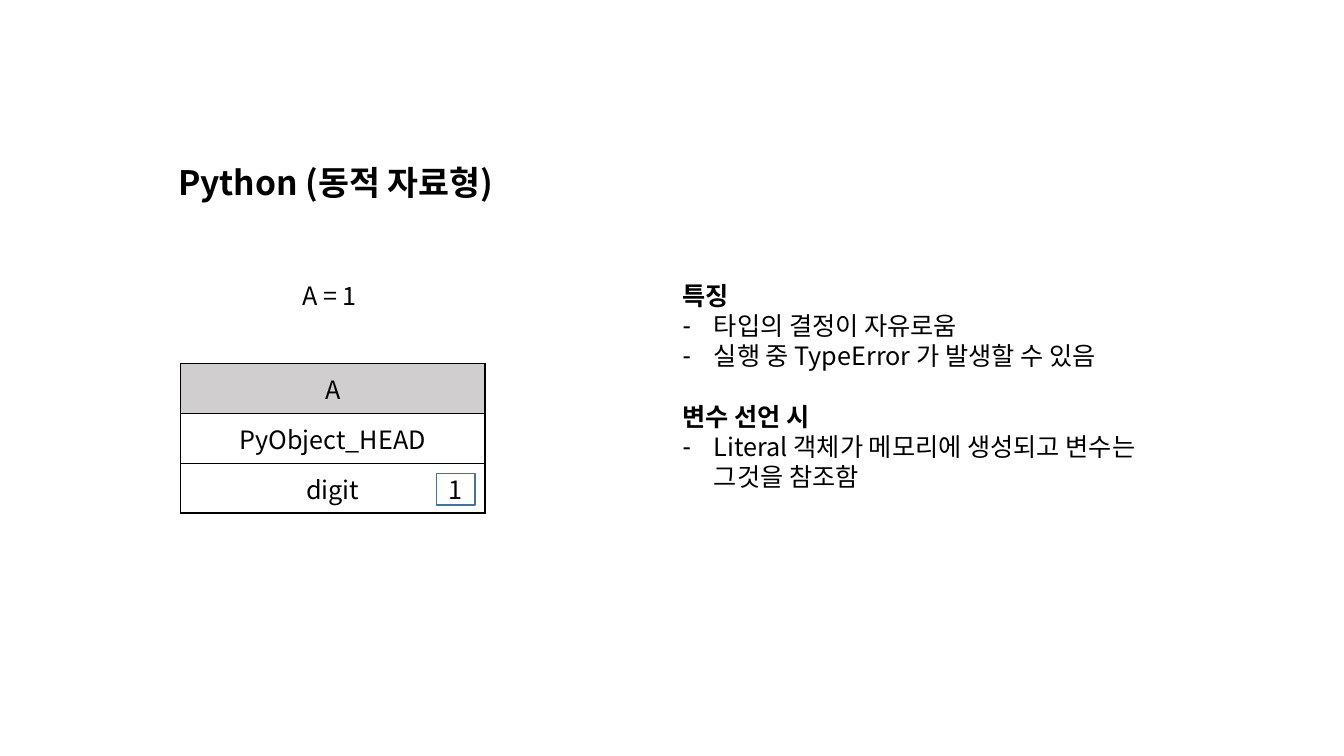
from dataclasses import dataclass

from lxml import etree
from pptx import Presentation
from pptx.dml.color import RGBColor
from pptx.enum.shapes import MSO_SHAPE
from pptx.enum.text import MSO_ANCHOR, MSO_AUTO_SIZE, PP_ALIGN
from pptx.oxml.ns import qn
from pptx.slide import Slide
from pptx.table import _Cell
from pptx.text.text import _Paragraph
from pptx.util import Inches, Pt

RECTANGLE = MSO_SHAPE.RECTANGLE
TOP, MIDDLE = MSO_ANCHOR.TOP, MSO_ANCHOR.MIDDLE
LEFT, CENTER = PP_ALIGN.LEFT, PP_ALIGN.CENTER
NO_FIT, GROW = MSO_AUTO_SIZE.NONE, MSO_AUTO_SIZE.SHAPE_TO_FIT_TEXT

FONT = "Noto Sans CJK KR"
COLORS = {"text": "000000", "border": "000000", "header": "D0CECE", "value": "43739E"}
BODY_SIZE = 18
LINE_HEIGHT = 21.6
BULLET_INDENT = Inches(0.31)


@dataclass
class Frame:
    left: float
    top: float
    width: float
    height: float

    def lengths(self) -> list[int]:
        return [Inches(n) for n in (self.left, self.top, self.width, self.height)]


@dataclass
class Section:
    heading: str
    points: list[str]


TITLE_FRAME = Frame(1.22, 1.6, 4.22, 0.9)
OBJECT_FRAME = Frame(1.79, 3.61, 3.02, 1.48)
ASSIGNMENT_FRAME = Frame(2.9, 2.73, 0.86, 0.4)
VALUE_FRAME = Frame(4.33, 4.7, 0.38, 0.31)
NOTES_FRAME = Frame(6.67, 2.73, 4.96, 2.22)

OBJECT_ROWS = ["A", "PyObject_HEAD", "digit"]
SECTIONS = [
    Section("특징", ["타입의 결정이 자유로움", "실행 중 TypeError 가 발생할 수 있음"]),
    Section("변수 선언 시", ["Literal 객체가 메모리에 생성되고 변수는 그것을 참조함"]),
]


def write(para: _Paragraph, text: str, size: float = BODY_SIZE,
          bold: bool = False, align: PP_ALIGN = CENTER) -> None:
    para.text = text
    para.alignment = align
    font = para.font
    font.name, font.size, font.bold = FONT, Pt(size), bold
    font.color.rgb = RGBColor.from_string(COLORS["text"])
    east_asian = etree.SubElement(para._p.pPr.find(qn("a:defRPr")), qn("a:ea"))
    east_asian.set("typeface", FONT)


def set_bullet(para: _Paragraph, char: str = "") -> None:
    """Give the paragraph a hanging bullet, or none when char is empty."""
    properties = para._p.get_or_add_pPr()
    indent = BULLET_INDENT if char else 0
    properties.set("marL", str(indent))
    properties.set("indent", str(-indent))
    bullet = etree.Element(qn("a:buChar" if char else "a:buNone"))
    if char:
        bullet.set("char", char)
    properties.find(qn("a:defRPr")).addprevious(bullet)


def set_borders(cell: _Cell) -> None:
    properties = cell._tc.get_or_add_tcPr()
    for index, side in enumerate(("lnL", "lnR", "lnT", "lnB")):
        line = etree.Element(qn(f"a:{side}"), w=str(Pt(1)))
        fill = etree.SubElement(line, qn("a:solidFill"))
        etree.SubElement(fill, qn("a:srgbClr"), val=COLORS["border"])
        properties.insert(index, line)


def place(shape, frame: Frame) -> None:
    shape.left, shape.top, shape.width, shape.height = frame.lengths()


def add_title(page: Slide) -> None:
    title = page.shapes.title
    place(title, TITLE_FRAME)
    title.text_frame.vertical_anchor = TOP
    title.text_frame.auto_size = NO_FIT
    para = title.text_frame.paragraphs[0]
    write(para, "Python (동적 자료형)", size=24, bold=True)
    para.line_spacing = 0.9
    para.space_before = Pt(10)


def add_object_table(page: Slide) -> None:
    table = page.shapes.add_table(len(OBJECT_ROWS), 1, *OBJECT_FRAME.lengths()).table
    table.first_row = table.horz_banding = False
    for index, text in enumerate(OBJECT_ROWS):
        cell = table.cell(index, 0)
        cell.vertical_anchor = MIDDLE
        if index == 0:
            cell.fill.solid()
            cell.fill.fore_color.rgb = RGBColor.from_string(COLORS["header"])
        else:
            cell.fill.background()
        set_borders(cell)
        write(cell.text_frame.paragraphs[0], text)


def add_assignment(page: Slide) -> None:
    box = page.shapes.add_textbox(*ASSIGNMENT_FRAME.lengths())
    box.text_frame.word_wrap = False
    box.text_frame.auto_size = GROW
    write(box.text_frame.paragraphs[0], "A = 1", align=LEFT)


def add_value(page: Slide) -> None:
    box = page.shapes.add_shape(RECTANGLE, *VALUE_FRAME.lengths())
    box.shadow.inherit = False
    box.fill.background()
    box.line.color.rgb = RGBColor.from_string(COLORS["value"])
    box.line.width = Pt(1)
    box.text_frame.vertical_anchor = MIDDLE
    write(box.text_frame.paragraphs[0], "1")


def add_notes(page: Slide) -> None:
    body = page.placeholders[1]
    place(body, NOTES_FRAME)
    frame = body.text_frame
    frame.auto_size = GROW
    frame.vertical_anchor = TOP
    for index, section in enumerate(SECTIONS):
        heading = frame.add_paragraph() if index else frame.paragraphs[0]
        write(heading, section.heading, bold=True, align=LEFT)
        heading.space_before = Pt(LINE_HEIGHT if index else 0)
        set_bullet(heading)
        for point in section.points:
            para = frame.add_paragraph()
            write(para, point, align=LEFT)
            para.space_before = Pt(0)
            set_bullet(para, "-")


def main() -> None:
    deck = Presentation()
    deck.slide_width, deck.slide_height = Inches(13.33), Inches(7.5)
    page = deck.slides.add_slide(deck.slide_layouts[1])
    add_title(page)
    add_object_table(page)
    add_assignment(page)
    add_value(page)
    add_notes(page)
    deck.save("out.pptx")


if __name__ == "__main__":
    main()
